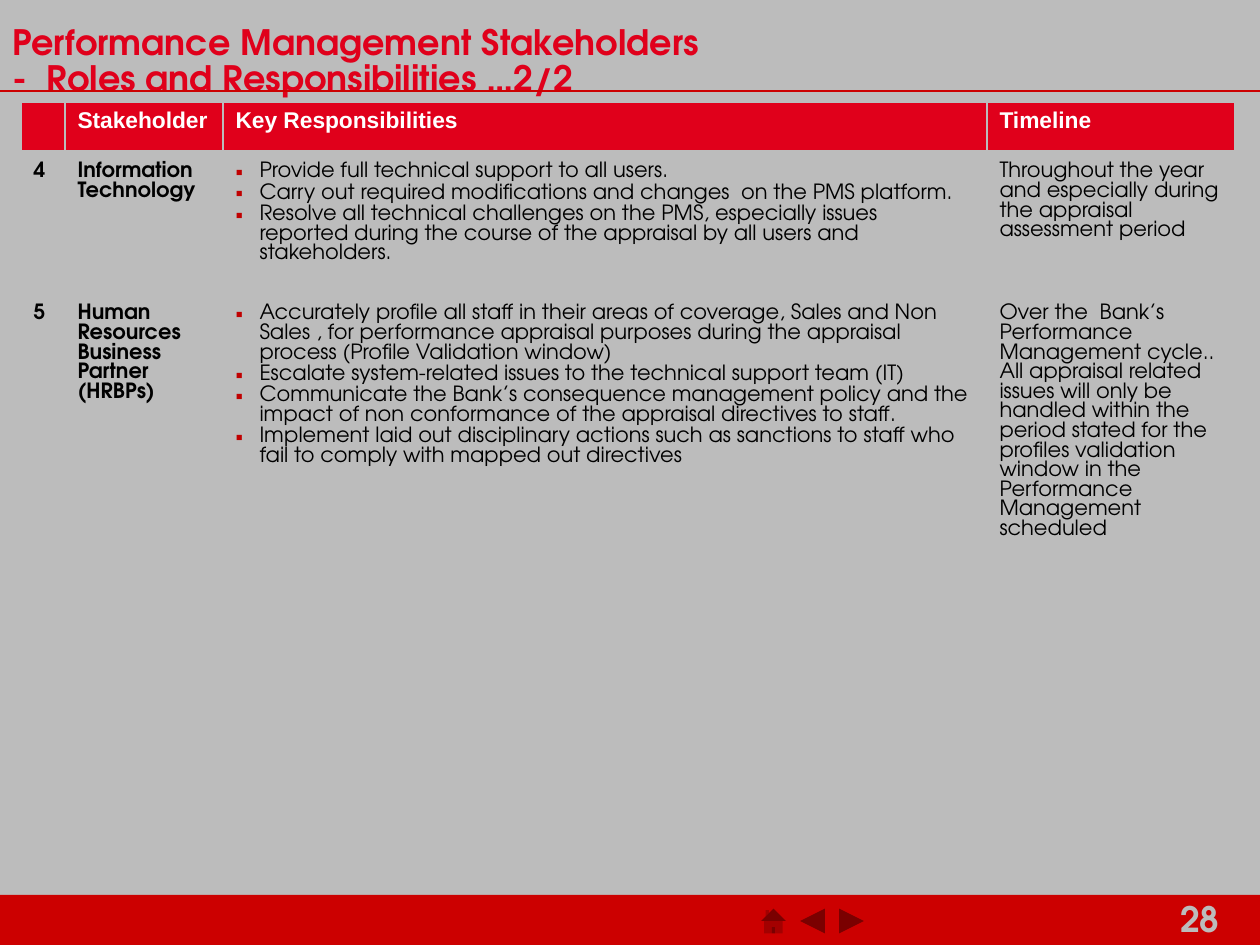
"""Build the stakeholder roles and responsibilities slide."""
from dataclasses import dataclass

from lxml import etree
from pptx import Presentation
from pptx import util as u
from pptx.dml.color import RGBColor
from pptx.enum import shapes, text
from pptx.oxml.ns import qn

TITLE = "Performance Management Stakeholders \v-  Roles and Responsibilities …2/2"
PAGE_NUMBER = "28"
HEADINGS = ["", "Stakeholder", "Key Responsibilities", "Timeline"]
STAKEHOLDERS = [
    ("4", "Information Technology", [
        "Provide full technical support to all users.",
        "Carry out required modifications and changes  on the PMS platform.",
        "Resolve all technical challenges on the PMS, especially issues  reported during "
        "the course of the appraisal by all users and stakeholders.",
    ], "Throughout the year and especially during the appraisal assessment period"),
    ("5", "Human Resources Business Partner (HRBPs)", [
        "Accurately profile all staff in their areas of coverage, Sales and Non Sales , for "
        "performance appraisal purposes during the appraisal process (Profile Validation window)",
        "Escalate system-related issues to the technical support team (IT)",
        "Communicate the Bank’s consequence management policy and the impact of non "
        "conformance of the appraisal directives to staff.",
        "Implement laid out disciplinary actions such as sanctions to staff who fail to "
        "comply with mapped out directives",
    ], "Over the  Bank’s Performance Management cycle.. All appraisal related issues will only "
       "be handled within the period stated for the profiles validation window in the "
       "Performance Management scheduled"),
]
BUTTONS = [
    (shapes.MSO_SHAPE.ACTION_BUTTON_HOME, 757),
    (shapes.MSO_SHAPE.ACTION_BUTTON_FORWARD_OR_NEXT, 796),
    (shapes.MSO_SHAPE.ACTION_BUTTON_BACK_OR_PREVIOUS, 835),
    (shapes.MSO_SHAPE.ACTION_BUTTON_CUSTOM, 877),
]
COLUMN_WIDTHS = [44, 158, 764, 248]
ROW_HEIGHTS = [47, 142, 360]


@dataclass(frozen=True)
class Theme:
    backdrop: str = "BCBCBC"
    footer: str = "CC0000"
    accent: str = "E0001B"
    bullet: str = "C00000"
    ink: str = "000000"
    paper: str = "FFFFFF"
    display_font: str = "TeX Gyre Adventor"
    heading_font: str = "Arial"
    title_size: int = 20
    heading_size: int = 13
    body_size: int = 12
    title_leading: float = 20.6
    body_leading: float = 11.2


THEME = Theme()


def px(length):
    return u.Emu(round(length * 914400 / 126))


def rgb(colour):
    return RGBColor.from_string(colour)


def style(paragraph, font, size, colour, bold, leading=None):
    if leading:
        paragraph.line_spacing = u.Pt(leading)
    for run in paragraph.runs:
        run.font.name = font
        run.font.size = u.Pt(size)
        run.font.bold = bold
        run.font.color.rgb = rgb(colour)


def add_bullet(paragraph):
    paragraph.space_before = paragraph.space_after = u.Pt(0.5)
    properties = paragraph._p.get_or_add_pPr()
    properties.set("marL", str(px(24)))
    properties.set("indent", str(px(-24)))
    colour = etree.SubElement(properties, qn("a:buClr"))
    etree.SubElement(colour, qn("a:srgbClr"), val=THEME.bullet)
    etree.SubElement(properties, qn("a:buFont"), typeface=THEME.heading_font)
    etree.SubElement(properties, qn("a:buChar"), char="▪")


def add_borders(cell, bottom_width):
    properties = cell._tc.get_or_add_tcPr()
    for side, width in (("L", 1), ("R", 1), ("T", 1), ("B", bottom_width)):
        border = etree.SubElement(properties, qn(f"a:ln{side}"), w=str(u.Pt(width)))
        fill = etree.SubElement(border, qn("a:solidFill"))
        etree.SubElement(fill, qn("a:srgbClr"), val=THEME.backdrop)


def add_plain_shape(slide, kind, left, top, width, height):
    shape = slide.shapes.add_shape(kind, px(left), px(top), px(width), px(height))
    shape.shadow.inherit = False
    shape.fill.solid()
    shape.fill.fore_color.rgb = rgb(THEME.footer)
    shape.line.fill.background()
    return shape


def add_footer(slide):
    add_plain_shape(slide, shapes.MSO_SHAPE.RECTANGLE, 0, 895, 1260, 50)
    number = slide.shapes.add_textbox(px(1168), px(891), px(92), px(54)).text_frame
    number.word_wrap = True
    number.text = PAGE_NUMBER
    style(number.paragraphs[0], THEME.display_font, THEME.title_size, THEME.backdrop, True)
    for kind, left in BUTTONS:
        button = add_plain_shape(slide, kind, left, 900, 33, 42)
        button._element.spPr.get_or_add_xfrm().set("flipH", "1")


def add_title(slide):
    rule = slide.shapes.add_connector(shapes.MSO_CONNECTOR.STRAIGHT, 0, px(91), px(1260), px(91))
    rule.line.color.rgb = rgb(THEME.footer)
    rule.line.width = u.Pt(0.75)
    etree.SubElement(rule._element.spPr, qn("a:effectLst"))
    title = slide.shapes.title
    title.left, title.top, title.width, title.height = px(0), px(25), px(937), px(69)
    frame = title.text_frame
    frame.text = TITLE
    frame.word_wrap = True
    frame.auto_size = text.MSO_AUTO_SIZE.NONE
    frame.vertical_anchor = text.MSO_ANCHOR.MIDDLE
    frame.margin_top, frame.margin_bottom = px(10), px(4)
    heading = frame.paragraphs[0]
    heading.alignment = text.PP_ALIGN.LEFT
    style(heading, THEME.display_font, THEME.title_size, THEME.accent, True, THEME.title_leading)


def fill_heading(cell, heading):
    add_borders(cell, 3)
    cell.fill.solid()
    cell.fill.fore_color.rgb = rgb(THEME.accent)
    cell.text = heading
    style(cell.text_frame.paragraphs[0], THEME.heading_font, THEME.heading_size, THEME.paper, True)


def fill_body(cell, content, bold):
    add_borders(cell, 1)
    cell.fill.background()
    cell.margin_top = px(10)
    bulleted = isinstance(content, list)
    cell.text = "\n".join(content) if bulleted else content
    for paragraph in cell.text_frame.paragraphs:
        style(paragraph, THEME.display_font, THEME.body_size, THEME.ink, bold, THEME.body_leading)
        if bulleted:
            add_bullet(paragraph)


def add_roles(slide):
    roles = slide.shapes.add_table(
        len(ROW_HEIGHTS), len(COLUMN_WIDTHS), px(21), px(102),
        px(sum(COLUMN_WIDTHS)), px(sum(ROW_HEIGHTS))).table
    roles.horz_banding = False
    for column, width in zip(roles.columns, COLUMN_WIDTHS):
        column.width = px(width)
    for row, height in zip(roles.rows, ROW_HEIGHTS):
        row.height = px(height)
    for index, heading in enumerate(HEADINGS):
        fill_heading(roles.cell(0, index), heading)
    for row, stakeholder in enumerate(STAKEHOLDERS, 1):
        for index, content in enumerate(stakeholder):
            fill_body(roles.cell(row, index), content, index < 2)


def main():
    deck = Presentation()
    deck.slide_width, deck.slide_height = px(1260), px(945)
    slide = deck.slides.add_slide(deck.slide_layouts[5])
    slide.background.fill.solid()
    slide.background.fill.fore_color.rgb = rgb(THEME.backdrop)
    add_footer(slide)
    add_title(slide)
    add_roles(slide)
    deck.save("out.pptx")


if __name__ == "__main__":
    main()
